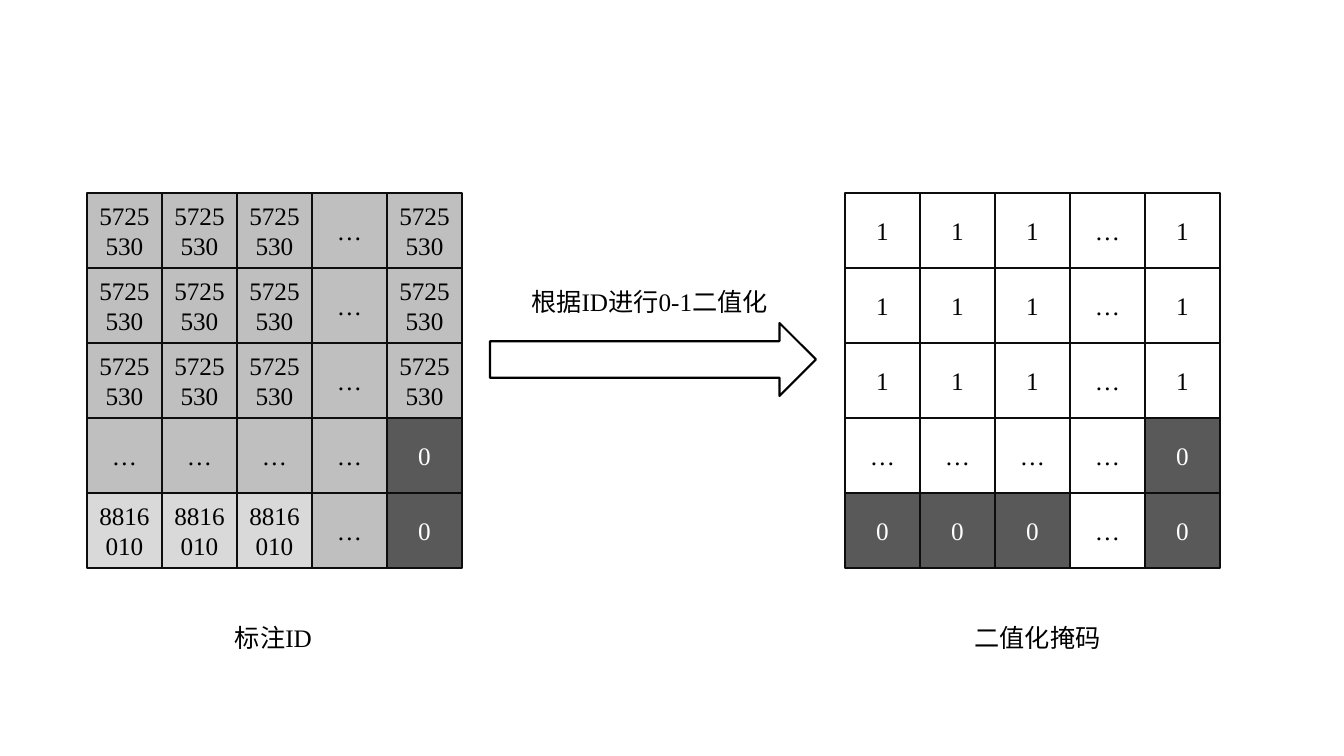
from pptx import Presentation
from pptx.dml.color import RGBColor
from pptx.enum.shapes import MSO_SHAPE as Shape
from pptx.enum.text import MSO_ANCHOR as Anchor, PP_ALIGN as Align
from pptx.util import Pt

# Content: each grid is its left edge and its rows of cell values
GRIDS = [
    (87, [
        ["5725530", "5725530", "5725530", "…", "5725530"],
        ["5725530", "5725530", "5725530", "…", "5725530"],
        ["5725530", "5725530", "5725530", "…", "5725530"],
        ["…", "…", "…", "…", "0"],
        ["8816010", "8816010", "8816010", "…", "0"],
    ], "mid"),
    (845, [
        ["1", "1", "1", "…", "1"],
        ["1", "1", "1", "…", "1"],
        ["1", "1", "1", "…", "1"],
        ["…", "…", "…", "…", "0"],
        ["0", "0", "0", "…", "0"],
    ], "white"),
]
LABELS = [
    ("标注ID", 129, 617),
    ("二值化掩码", 893, 617),
    ("根据ID进行0-1二值化", 505, 281),
]
COLORS = {
    "black": "000000",
    "white": "FFFFFF",
    "edge": "0D0D0D",
    "dark": "595959",
    "mid": "BFBFBF",
    "light": "D9D9D9",
}
VALUE_FILLS = {"0": "dark", "8816010": "light"}

# Lengths in px
PAGE_WIDTH, PAGE_HEIGHT = 1344, 756
GRID_TOP, CELL, INSET = 193, 75, 10
LABEL_WIDTH, LABEL_HEIGHT = 289, 40
ARROW = (490, 323, 326, 73)


def px(length):
    return round(length * 914400 / 100.8)


def color(name):
    return RGBColor.from_string(COLORS[name])


def write(box, text, ink="black", size=18, font="Times New Roman"):
    box.text_frame.word_wrap = True
    para = box.text_frame.paragraphs[0]
    para.alignment = Align.CENTER
    span = para.add_run()
    span.text = text
    span.font.size = Pt(size)
    span.font.name = font
    span.font.color.rgb = color(ink)


def add_box(page, kind, bounds, fill, edge, weight):
    box = page.shapes.add_shape(kind, *map(px, bounds))
    box.shadow.inherit = False
    box.fill.solid()
    box.fill.fore_color.rgb = color(fill)
    box.line.color.rgb = color(edge)
    box.line.width = Pt(weight)
    return box


def add_cell(page, left, top, value, fill):
    cell = add_box(page, Shape.RECTANGLE, (left, top, CELL, CELL), fill, "edge", 1)
    frame = cell.text_frame
    frame.vertical_anchor = Anchor.MIDDLE
    frame.margin_left = frame.margin_right = px(INSET)
    frame.margin_top = frame.margin_bottom = px(INSET)
    write(cell, value, ink="white" if fill == "dark" else "black")


def main():
    deck = Presentation()
    deck.slide_width, deck.slide_height = px(PAGE_WIDTH), px(PAGE_HEIGHT)
    page = deck.slides.add_slide(deck.slide_layouts[6])

    # Grids of cells
    for left, rows, base_fill in GRIDS:
        for row, values in enumerate(rows):
            for column, value in enumerate(values):
                add_cell(page, left + column * CELL, GRID_TOP + row * CELL,
                         value, VALUE_FILLS.get(value, base_fill))

    # Arrow between the grids
    add_box(page, Shape.RIGHT_ARROW, ARROW, "white", "black", 1.5)

    # Captions
    for text, left, top in LABELS:
        label = page.shapes.add_textbox(
            px(left), px(top), px(LABEL_WIDTH), px(LABEL_HEIGHT))
        write(label, text)

    deck.save("out.pptx")


if __name__ == "__main__":
    main()
